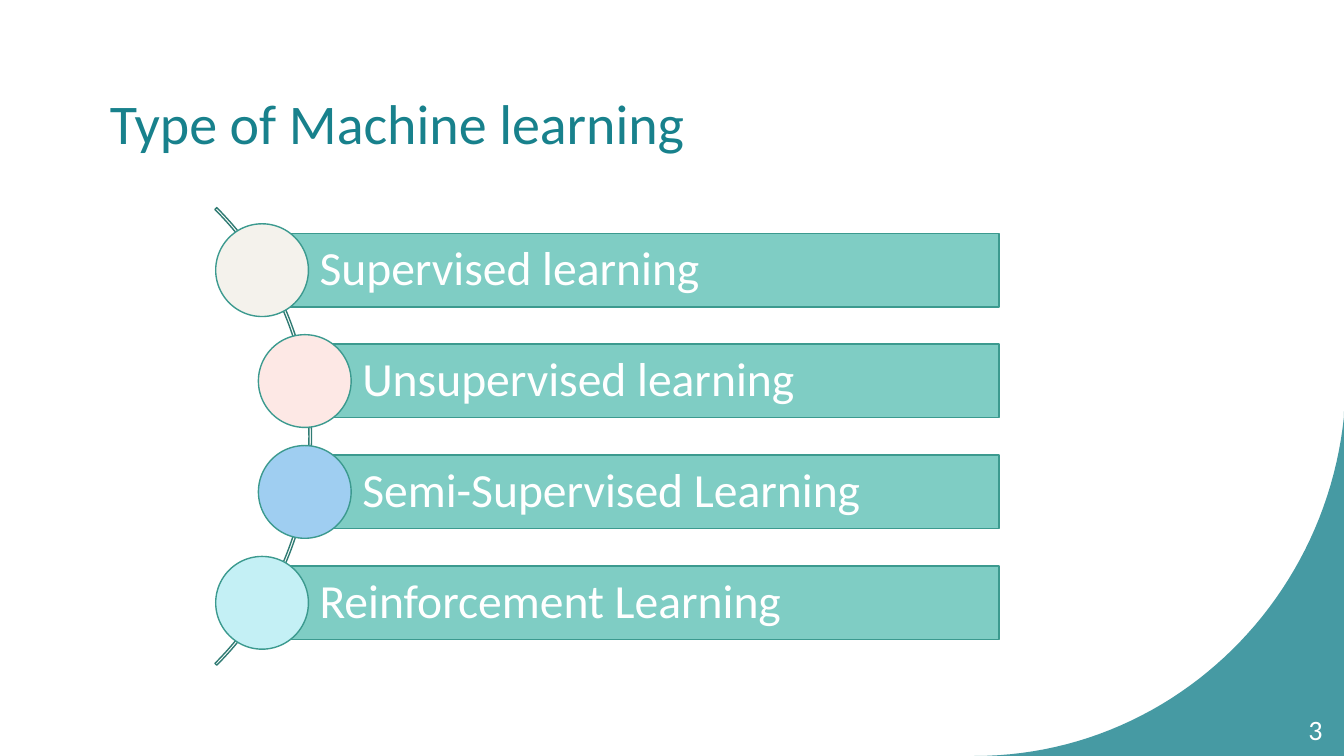
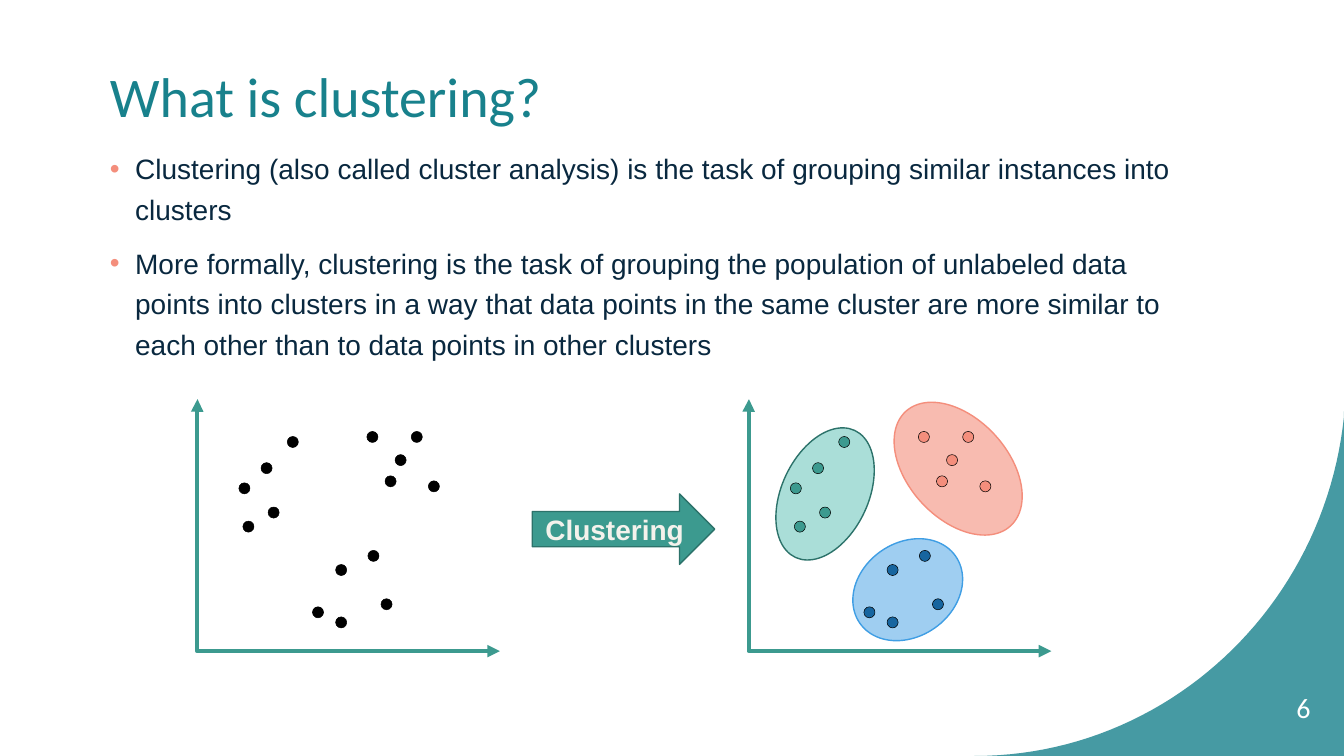
from pptx import Presentation
from pptx.dml.color import RGBColor
from pptx.enum.shapes import MSO_CONNECTOR, MSO_SHAPE
from pptx.enum.text import MSO_ANCHOR, MSO_AUTO_SIZE, PP_ALIGN
from pptx.oxml.ns import qn
from pptx.util import Inches, Pt
from lxml.etree import SubElement

TEAL, INK, CORAL, WHITE = "18818C", "09283F", "F48E7C", "FFFFFF"
GREEN, DARK_GREEN, BLACK, CREAM = "3C9A8F", "2C726A", "000000", "F4F2EC"
SLIDE = (0, 0, Inches(13.333), Inches(7.5))
TITLE_FONT = dict(name="Calibri", size=Pt(40), color=TEAL)
NUMBER_FONT = dict(name="Calibri", size=Pt(20), color=WHITE)
BAR_FONT = dict(name="Calibri", size=Pt(34), color=WHITE)
BODY_FONT = dict(name="Arial", size=Pt(20), color=INK)
ARROW_FONT = dict(name="Arial", size=Pt(20), bold=True, color=CREAM)

TYPES = [("Supervised learning", CREAM, 0),
         ("Unsupervised learning", "FDE8E5", 1),
         ("Semi-Supervised Learning", "9FCEF1", 1),
         ("Reinforcement Learning", "C4F0F5", 0)]
POINTS = [
    "Clustering (also called cluster analysis) is the task of grouping similar "
    "instances into clusters",
    "More formally, clustering is the task of grouping the population of unlabeled "
    "data points into clusters in a way that data points in the same cluster are "
    "more similar to each other than to data points in other clusters"]
CLUSTERS = [
    dict(dot=GREEN, fill="AADED8", line=DARK_GREEN, rotation=295,
         oval=(2, 20.4, 46.33, 34.4),
         dots=[(13.67, 33.2), (15, 48.4), (23.33, 42.8), (21, 25.2), (29.67, 14.8)]),
    dict(dot="17659F", fill="9FCEF1", line="3F9EE4", rotation=234.9,
         oval=(37, 52.4, 31, 46.4),
         dots=[(60.67, 79.2), (38, 82.4), (56.33, 60), (45.67, 65.6), (45.67, 86.4)]),
    dict(dot=CORAL, fill="F8BBB0", line=CORAL, rotation=317.5,
         oval=(52.67, -3.2, 33, 61.6),
         dots=[(65.33, 22), (62, 30.4), (56, 12.8), (70.67, 12.8), (76.33, 32.4)])]


def rgb(value):
    """Turn a hex string into a colour."""
    return RGBColor.from_string(value)


def part(box, left, top, width=0, height=0):
    """Return a box given in percent of another box."""
    x, y, w, h = box
    return (int(x + w * left / 100), int(y + h * top / 100),
            int(w * width / 100), int(h * height / 100))


def put(obj, **values):
    """Set each named attribute on an object."""
    for name, value in values.items():
        setattr(obj, name, value)


def write(p, text, font, **values):
    """Fill a paragraph with one formatted run."""
    r = p.add_run()
    r.text = text
    put(r.font, **{k: v for k, v in font.items() if k != "color"})
    r.font.color.rgb = rgb(font["color"])
    put(p, **values)


def paint(sp, fill=None, line=None, width=1):
    """Give a shape its fill and outline without a shadow."""
    sp.shadow.inherit = False
    if fill:
        sp.fill.solid()
        sp.fill.fore_color.rgb = rgb(fill)
    else:
        sp.fill.background()
    if line:
        sp.line.color.rgb = rgb(line)
        sp.line.width = Pt(width)
    else:
        sp.line.fill.background()
    return sp


def shape(s, kind, box, **look):
    """Add a painted preset shape."""
    return paint(s.shapes.add_shape(kind, *box), **look)


def add_corner(prs, s):
    """Draw the curved corner and move it to the master."""
    curve = [(72.5, 100), (86.8, 100), (98.55, 80.27), (100, 55.07)]
    points = []
    for t in (i / 48 for i in range(49)):
        weights = ((1 - t) ** 3, 3 * t * (1 - t) ** 2, 3 * t * t * (1 - t), t ** 3)
        points.append([sum(w * c[axis] for w, c in zip(weights, curve))
                       for axis in (0, 1)])
    points += [(100, 54.4), (100, 100)]
    places = [part(SLIDE, *point)[:2] for point in points]
    builder = s.shapes.build_freeform(*places[0])
    builder.add_line_segments(places[1:], close=True)
    sp = paint(builder.convert_to_shape(), fill=TEAL)
    color = sp.element.spPr.find(qn("a:solidFill"))[0]
    SubElement(color, qn("a:alpha"), val="80000")
    sp.element.nvSpPr.cNvPr.id = 99
    prs.slide_master.shapes.element.append(sp.element)


def place(sp, box):
    """Move and resize a placeholder."""
    put(sp, **dict(zip(("left", "top", "width", "height"), box)))
    put(sp.text_frame, word_wrap=True, auto_size=MSO_AUTO_SIZE.NONE)
    return sp.text_frame


def add_page(prs, layout, title, title_height, number, number_at):
    """Add a slide with its title and page number."""
    s = prs.slides.add_slide(prs.slide_layouts[layout])
    tf = place(s.shapes.title, part(SLIDE, 7.43, 6.53, 81.3, title_height))
    tf.vertical_anchor = MSO_ANCHOR.MIDDLE
    write(tf.paragraphs[0], title, TITLE_FONT, alignment=PP_ALIGN.LEFT)
    tf = s.shapes.add_textbox(*part(SLIDE, *number_at, 5.7, 5.33)).text_frame
    put(tf, word_wrap=True, vertical_anchor=MSO_ANCHOR.MIDDLE)
    write(tf.paragraphs[0], number, NUMBER_FONT, alignment=PP_ALIGN.RIGHT)
    return s


def add_type_list(s, box):
    """Draw labelled bars with circles along an arc."""
    arc = shape(s, MSO_SHAPE.BLOCK_ARC, part(box, -70.4, -26.07, 82.63, 152.13),
                line="307B73")
    for i, value in enumerate((189, 27, 0.004)):
        arc.adjustments[i] = value
    circle_width, circle_height = 11.84, 21.8
    pitch = (100 - circle_height) / (len(TYPES) - 1)
    for row, (label, color, indent) in enumerate(TYPES):
        left, top = 5.45 * indent, pitch * row
        bar_left = left + 5.8
        bar = shape(s, MSO_SHAPE.RECTANGLE,
                    part(box, bar_left, top + 2.25, 100 - bar_left, 17.3),
                    fill="7FCDC4", line=GREEN)
        put(bar.text_frame, margin_left=Inches(0.58), word_wrap=True,
            vertical_anchor=MSO_ANCHOR.MIDDLE)
        write(bar.text_frame.paragraphs[0], label, BAR_FONT,
              alignment=PP_ALIGN.LEFT, line_spacing=0.9)
        shape(s, MSO_SHAPE.OVAL, part(box, left, top, circle_width, circle_height),
              fill=color, line=GREEN)


def add_bullets(s, box):
    """Fill the body placeholder with the bullet points."""
    tf = place(s.placeholders[1], box)
    for i, text in enumerate(POINTS):
        p = tf.add_paragraph() if i else tf.paragraphs[0]
        write(p, text, BODY_FONT, line_spacing=1.2, space_before=Pt(10))
        pPr = p._p.get_or_add_pPr()
        pPr.set("marL", str(Inches(0.25)))
        pPr.set("indent", str(-Inches(0.25)))
        SubElement(SubElement(pPr, qn("a:buClr")), qn("a:srgbClr"), val=CORAL)
        SubElement(pPr, qn("a:buFont"), typeface="Arial")
        SubElement(pPr, qn("a:buChar"), char="•")


def add_axes(s, box):
    """Draw both axes as one elbow with two arrowheads."""
    x, y, w, h = box
    axes = s.shapes.add_connector(MSO_CONNECTOR.ELBOW, x, y, x + w, y + h)
    axes.line.color.rgb = rgb(GREEN)
    axes.line.width = Pt(3)
    spPr = axes.element.spPr
    guides = spPr.find(qn("a:prstGeom")).find(qn("a:avLst"))
    SubElement(guides, qn("a:gd"), name="adj1", fmla="val -100")
    for end in ("a:headEnd", "a:tailEnd"):
        SubElement(spPr.find(qn("a:ln")), qn(end), type="triangle")
    SubElement(spPr, qn("a:effectLst"))


def add_scatter(s, box, grouped):
    """Draw the data points, with coloured clusters if grouped."""
    add_axes(s, box)
    if grouped:
        for c in CLUSTERS:
            oval = shape(s, MSO_SHAPE.OVAL, part(box, *c["oval"]),
                         fill=c["fill"], line=c["line"])
            oval.rotation = c["rotation"]
    for c in CLUSTERS:
        for dot in c["dots"]:
            shape(s, MSO_SHAPE.OVAL, part(box, *dot, 3.67, 4.4),
                  fill=c["dot"] if grouped else BLACK, line=BLACK, width=0.38)


def add_arrow(s, box):
    """Draw the labelled arrow between the scatter plots."""
    arrow = shape(s, MSO_SHAPE.RIGHT_ARROW, box, fill=GREEN, line=DARK_GREEN)
    arrow.text_frame.vertical_anchor = MSO_ANCHOR.MIDDLE
    write(arrow.text_frame.paragraphs[0], "Clustering", ARROW_FONT,
          alignment=PP_ALIGN.CENTER)


def main():
    """Build and save the two slides."""
    prs = Presentation()
    put(prs, slide_width=SLIDE[2], slide_height=SLIDE[3])

    s = add_page(prs, 5, "Type of Machine learning", 19.33, "3", (93.45, 93.87))
    add_corner(prs, s)
    add_type_list(s, part(SLIDE, 16.05, 29.6, 58.28, 56.27))

    s = add_page(prs, 1, "What is clustering?", 12, "6", (92.55, 90.93))
    add_bullets(s, part(SLIDE, 7.43, 18.53, 81.3, 77.73))
    add_arrow(s, part(SLIDE, 39.6, 65.33, 13.58, 9.33))
    for left, grouped in ((14.7, False), (55.73, True)):
        add_scatter(s, part(SLIDE, left, 52.8, 22.5, 33.33), grouped)

    prs.save("out.pptx")


main()
